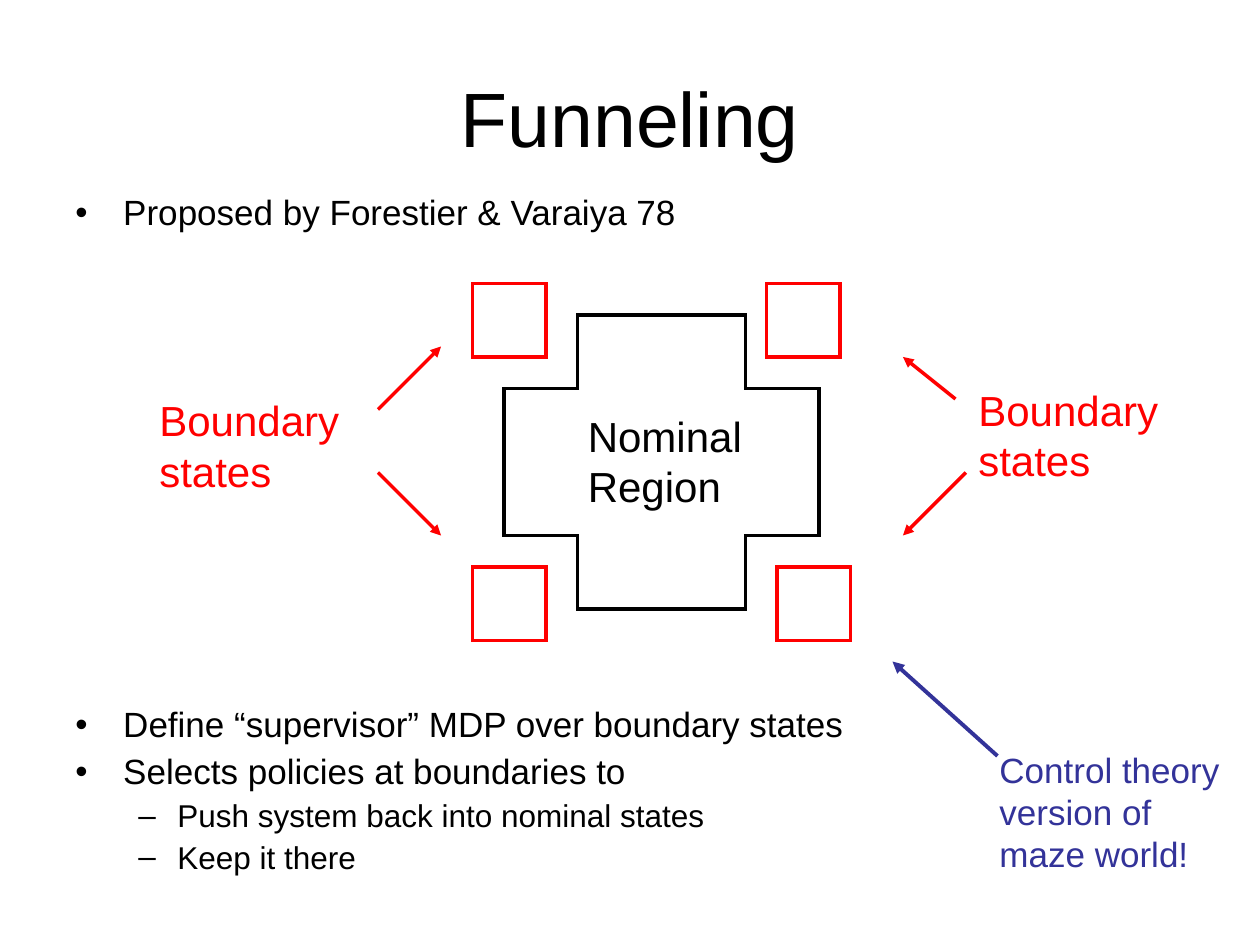
from lxml import etree
from pptx import Presentation
from pptx.dml.color import RGBColor
from pptx.enum.shapes import MSO_CONNECTOR, MSO_SHAPE
from pptx.enum.text import MSO_ANCHOR, MSO_AUTO_SIZE, PP_ALIGN
from pptx.oxml.ns import qn
from pptx.util import Inches, Pt

LINE = MSO_CONNECTOR.STRAIGHT
PLUS, RECT = MSO_SHAPE.CROSS, MSO_SHAPE.RECTANGLE
MIDDLE, TOP = MSO_ANCHOR.MIDDLE, MSO_ANCHOR.TOP
CENTER, LEFT = PP_ALIGN.CENTER, PP_ALIGN.LEFT
FIXED, GROW = MSO_AUTO_SIZE.NONE, MSO_AUTO_SIZE.SHAPE_TO_FIT_TEXT
BLACK, RED, BLUE = "000000", "FF0000", "333399"

prs = Presentation()
prs.slide_width, prs.slide_height = Inches(10), Inches(7.5)
s = prs.slides.add_slide(prs.slide_layouts[6])
unit = prs.slide_width / 120


def grid(*cells):
    return [round(c * unit) for c in cells]


def add_text(box, lines, size, color, wrap=False, align=LEFT, anchor=TOP):
    tf = s.shapes.add_textbox(*grid(*box)).text_frame
    tf.word_wrap = wrap
    tf.auto_size = FIXED if wrap else GROW
    tf.vertical_anchor = anchor
    for i, line in enumerate(lines):
        p = tf.paragraphs[0] if i == 0 else tf.add_paragraph()
        p.alignment = align
        r = p.add_run()
        r.text = line
        r.font.name = "Arial"
        r.font.size = Pt(size)
        r.font.color.rgb = RGBColor.from_string(color)
    return tf


add_text((6, 3.6, 108, 15), ["Funneling"], 44, BLACK, True, CENTER, MIDDLE)

bullets = [
    ("Proposed by Forestier & Varaiya 78", 0, 5.8),
    ("Define “supervisor” MDP over boundary states", 0, 271),
    ("Selects policies at boundaries to", 0, 5.3),
    ("Push system back into nominal states", 1, 4.5),
    ("Keep it there", 1, 4.5),
]
levels = [("•", 20, 0.38, 0.38), ("–", 18, 0.81, 0.31)]
tf = add_text((6, 18, 108, 69), [b[0] for b in bullets], 20, BLACK, True)
for p, (_, level, gap) in zip(tf.paragraphs, bullets):
    char, size, margin, hang = levels[level]
    p.level = level
    p.line_spacing = 0.9
    p.space_before = Pt(gap)
    p.runs[0].font.size = Pt(size)
    pPr = p._p.get_or_add_pPr()
    pPr.set("marL", str(Inches(margin)))
    pPr.set("indent", str(-Inches(hang)))
    etree.SubElement(pPr, qn("a:buFont")).set("typeface", "Arial")
    etree.SubElement(pPr, qn("a:buChar")).set("char", char)

outlines = [(PLUS, (48, 30, 30, 28), BLACK)]
for col, row in [(45, 27), (73, 27), (45, 54), (74, 54)]:
    outlines.append((RECT, (col, row, 7, 7), RED))
for kind, box, color in outlines:
    sp = s.shapes.add_shape(kind, *grid(*box))
    sp.shadow.inherit = False
    sp.fill.background()
    sp.line.color.rgb = RGBColor.from_string(color)
    sp.line.width = Pt(2)
    etree.SubElement(sp.line._get_or_add_ln(), qn("a:miter")).set("lim", "800000")

add_text((54.8, 38.5, 17.2, 10.8), ["Nominal", "Region"], 24, BLACK)
for col, row in [(14, 37), (92, 36)]:
    add_text((col, row, 19.7, 10.8), ["Boundary", "states"], 24, RED)
add_text((94, 70.7, 23.4, 13.2), ["Control theory", "version of", "maze world!"], 20, BLUE)

arrows = [
    ((36, 39, 42, 33), RED, 2),
    ((36, 45, 42, 51), RED, 2),
    ((91, 38, 86, 34), RED, 2),
    ((92, 45, 86, 51), RED, 2),
    ((95, 72, 85, 63), BLUE, 2.25),
]
for ends, color, width in arrows:
    arrow = s.shapes.add_connector(LINE, *grid(*ends))
    arrow.line.color.rgb = RGBColor.from_string(color)
    arrow.line.width = Pt(width)
    etree.SubElement(arrow.line._get_or_add_ln(), qn("a:tailEnd")).set("type", "triangle")
    etree.SubElement(arrow._element.spPr, qn("a:effectLst"))

prs.save("out.pptx")
